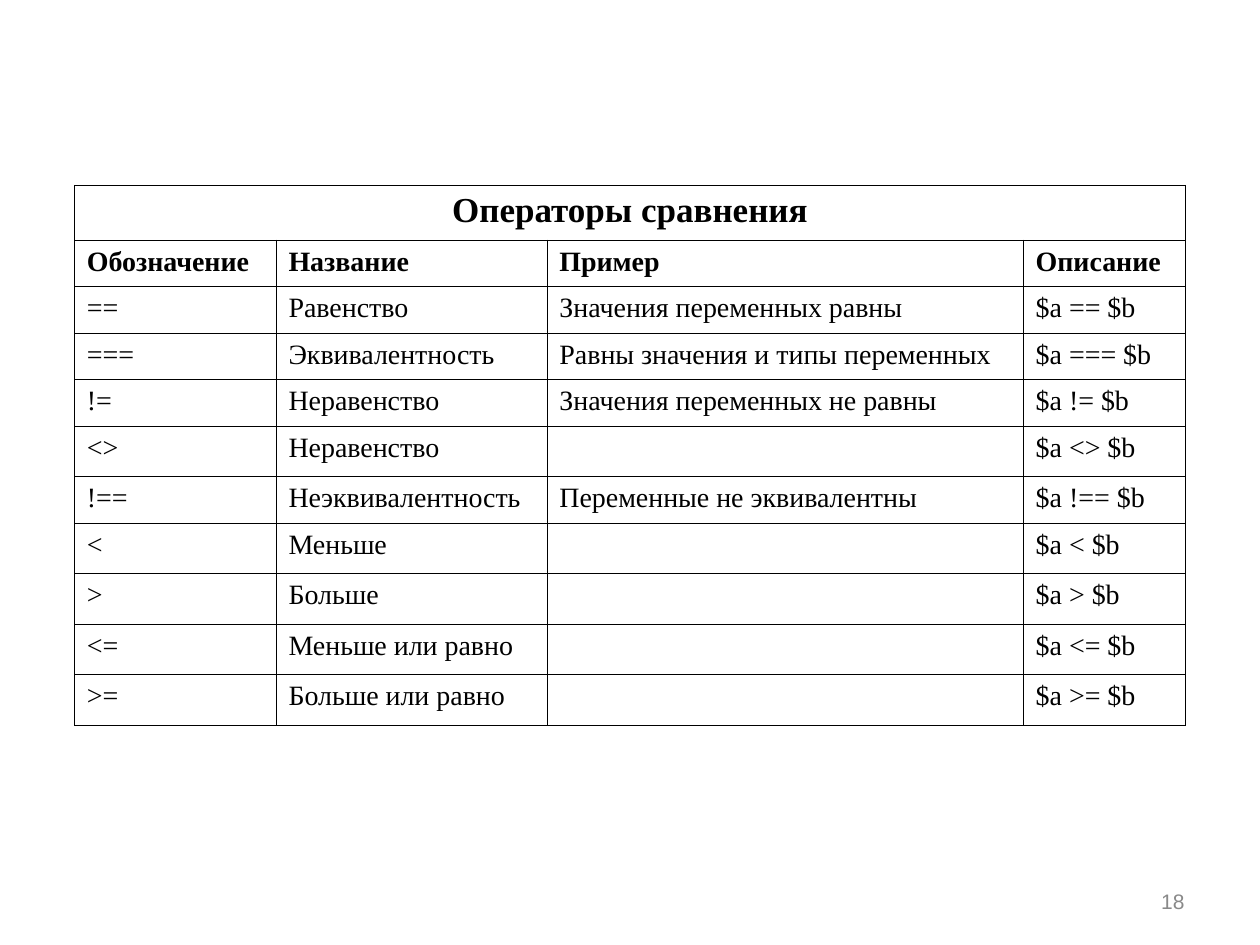
from dataclasses import dataclass

from lxml.etree import SubElement as Sub
from pptx import Presentation
from pptx.dml.color import RGBColor
from pptx.enum.text import MSO_ANCHOR as Anchor, PP_ALIGN as Align
from pptx.oxml.ns import qn
from pptx.util import Inches, Pt

BLACK = RGBColor(0x00, 0x00, 0x00)
GRAY = RGBColor(0x89, 0x89, 0x89)
SERIF = "Times New Roman"
COLS = (1.6, 2.15, 3.78, 1.29)
HEAD, ROW = 0.43, 0.37


@dataclass
class Style:
    size: float
    bold: bool = False
    align: Align = Align.JUSTIFY
    face: str = SERIF
    color: RGBColor = BLACK


@dataclass
class Entry:
    sign: str
    name: str
    note: str = ""

    def cells(self) -> tuple:
        return self.sign, self.name, self.note, f"$a {self.sign} $b"


TITLE = Style(20, True, Align.CENTER)
LABEL = Style(16, True)
BODY = Style(16)
PAGE = Style(12, False, Align.RIGHT, "Arial", GRAY)

ENTRIES = (
    Entry("==", "Равенство", "Значения переменных равны"),
    Entry("===", "Эквивалентность", "Равны значения и типы переменных"),
    Entry("!=", "Неравенство", "Значения переменных не равны"),
    Entry("<>", "Неравенство"),
    Entry("!==", "Неэквивалентность", "Переменные не эквивалентны"),
    Entry("<", "Меньше"),
    Entry(">", "Больше"),
    Entry("<=", "Меньше или равно"),
    Entry(">=", "Больше или равно"),
)
LABELS = ("Обозначение", "Название", "Пример", "Описание")


def write(frame, text: str, style: Style) -> None:
    frame.text = text
    para = frame.paragraphs[0]
    para.alignment = style.align
    for run in para.runs:
        font = run.font
        font.name, font.size, font.bold = style.face, Pt(style.size), style.bold
        font.color.rgb = style.color


def border(cell) -> None:
    props = cell._tc.get_or_add_tcPr()
    for side in ("lnL", "lnR", "lnT", "lnB"):
        line = Sub(props, qn(f"a:{side}"), w=str(Pt(0.45)))
        fill = Sub(line, qn("a:solidFill"))
        Sub(fill, qn("a:srgbClr"), val=str(BLACK))


def draw_table(slide) -> None:
    count = len(ENTRIES) + 2
    frame = slide.shapes.add_table(
        count, len(COLS), Inches(0.59), Inches(1.47),
        Inches(sum(COLS)), Inches(HEAD + ROW * (count - 1)))
    table = frame.table
    table.first_row = table.horz_banding = False
    for col, width in zip(table.columns, COLS):
        col.width = Inches(width)
    for i, row in enumerate(table.rows):
        row.height = Inches(ROW if i else HEAD)
    for cell in table.iter_cells():
        border(cell)
        cell.fill.background()
    table.cell(0, 0).merge(table.cell(0, len(COLS) - 1))
    write(table.cell(0, 0).text_frame, "Операторы сравнения", TITLE)
    lines = [LABELS] + [entry.cells() for entry in ENTRIES]
    for r, line in enumerate(lines, 1):
        for c, text in enumerate(line):
            if text:
                style = LABEL if r == 1 else BODY
                write(table.cell(r, c).text_frame, text, style)


def draw_page(slide) -> None:
    box = slide.shapes.add_textbox(
        Inches(7.17), Inches(6.95), Inches(2.33), Inches(0.4))
    frame = box.text_frame
    frame.word_wrap = True
    frame.vertical_anchor = Anchor.MIDDLE
    write(frame, "18", PAGE)


def main() -> None:
    deck = Presentation()
    deck.slide_width, deck.slide_height = Inches(10), Inches(7.5)
    slide = deck.slides.add_slide(deck.slide_layouts[6])
    draw_page(slide)
    draw_table(slide)
    deck.save("out.pptx")


if __name__ == "__main__":
    main()
